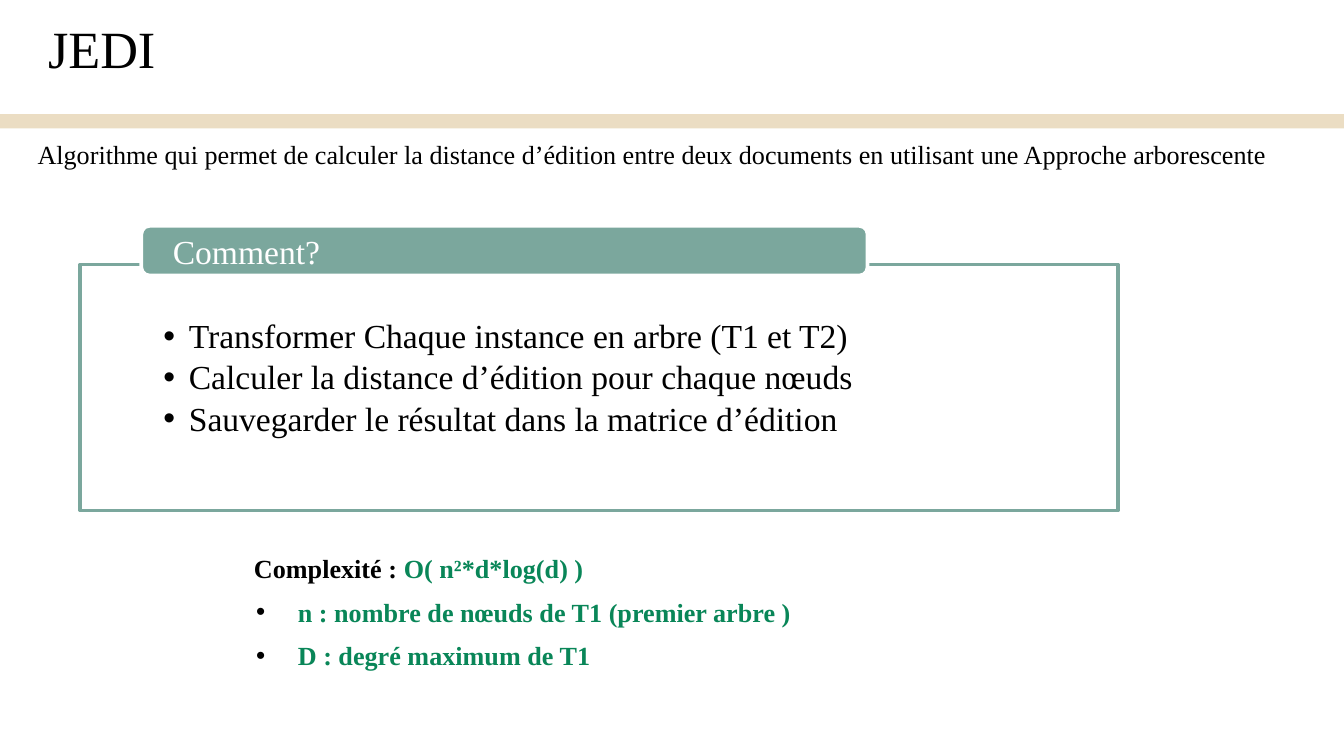
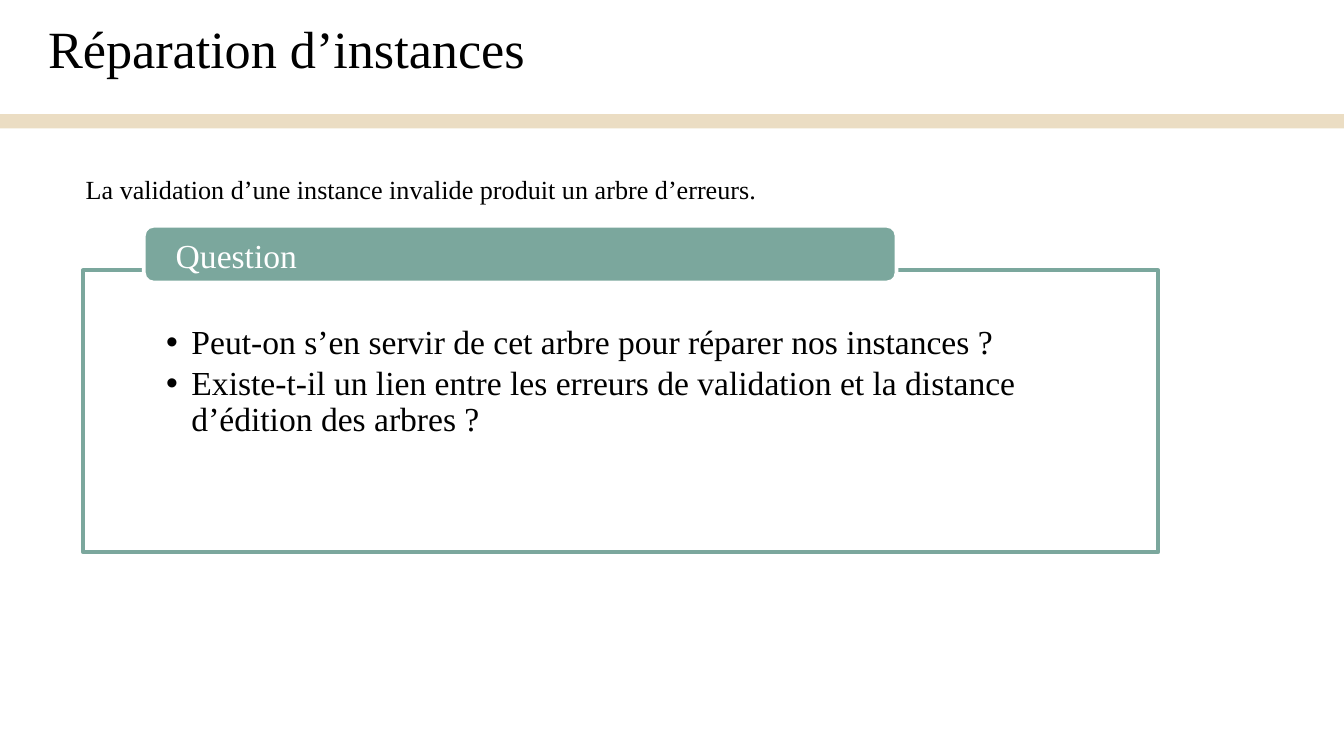
from dataclasses import dataclass

from lxml.etree import SubElement
from pptx import Presentation
from pptx.dml.color import RGBColor
from pptx.enum.shapes import MSO_SHAPE
from pptx.enum.text import MSO_ANCHOR, PP_ALIGN
from pptx.oxml.ns import qn
from pptx.util import Cm, Pt


@dataclass(frozen=True)
class Theme:
    font: str = "Times New Roman"
    ink: str = "000000"
    paper: str = "FFFFFF"
    sand: str = "EBDDC3"
    sage: str = "7BA79D"
    formula: str = "098658"
    title_size: int = 28
    panel_size: int = 18
    note_size: int = 14
    outline: int = 2


THEME = Theme()
SLIDE_WIDTH, SLIDE_HEIGHT = 25.4, 14.29


# Text
def add_run(paragraph, text, size, color=THEME.ink, bold=False):
    run = paragraph.add_run()
    run.text = text
    run.font.name = THEME.font
    run.font.size = Pt(size)
    run.font.bold = bold
    run.font.color.rgb = RGBColor.from_string(color)
    return run


def next_paragraph(frame):
    first = frame.paragraphs[0]
    paragraph = frame.add_paragraph() if first.runs else first
    paragraph.alignment = PP_ALIGN.LEFT
    return paragraph


def set_bullet(paragraph, margin, hanging):
    properties = paragraph._p.get_or_add_pPr()
    properties.set("marL", str(Cm(margin)))
    properties.set("indent", str(-Cm(hanging)))
    color = SubElement(properties, qn("a:buClr"))
    SubElement(color, qn("a:srgbClr"), val=THEME.ink)
    SubElement(properties, qn("a:buFont"), typeface="Arial")
    SubElement(properties, qn("a:buChar"), char="•")


def set_insets(frame, left, top, right, bottom):
    frame.margin_left, frame.margin_top = Cm(left), Cm(top)
    frame.margin_right, frame.margin_bottom = Cm(right), Cm(bottom)


def add_line_of_text(slide, left, top, width, height, text, size):
    box = slide.shapes.add_textbox(Cm(left), Cm(top), Cm(width), Cm(height))
    box.text_frame.word_wrap = False
    add_run(next_paragraph(box.text_frame), text, size)


# Shapes
def add_block(slide, preset, left, top, width, height, fill, line=None):
    block = slide.shapes.add_shape(preset, Cm(left), Cm(top), Cm(width), Cm(height))
    block.shadow.inherit = False
    block.fill.solid()
    block.fill.fore_color.rgb = RGBColor.from_string(fill)
    if line:
        block.line.color.rgb = RGBColor.from_string(line)
        block.line.width = Pt(THEME.outline)
    else:
        block.line.fill.background()
    return block


def set_opacity(block, percent):
    color = block.fill._xPr.find(qn("a:solidFill"))[0]
    SubElement(color, qn("a:alpha"), val=str(percent * 1000))


# Outlined panel with a heading tab over its upper edge
def add_panel(slide, left, top, width, height, tab_height, heading, points):
    panel = add_block(slide, MSO_SHAPE.RECTANGLE, left, top, width, height,
                      THEME.paper, THEME.sage)
    set_opacity(panel, 90)
    body = panel.text_frame
    body.word_wrap = True
    body.vertical_anchor = MSO_ANCHOR.TOP
    set_insets(body, 1.57, 1.04, 1.57, 0.36)
    for point in points:
        paragraph = next_paragraph(body)
        paragraph.level = 1
        paragraph.line_spacing = 0.9
        paragraph.space_after = Pt(2.7)
        set_bullet(paragraph, 0.48, 0.48)
        add_run(paragraph, point, THEME.panel_size)

    tab = add_block(slide, MSO_SHAPE.ROUNDED_RECTANGLE, left + 1.15, 4.27,
                    width * 0.7, tab_height, THEME.sage, THEME.paper)
    label = tab.text_frame
    label.word_wrap = True
    label.vertical_anchor = MSO_ANCHOR.MIDDLE
    set_insets(label, 0.55, 0.12, 0.53, 0)
    paragraph = next_paragraph(label)
    paragraph.line_spacing = 0.9
    add_run(paragraph, heading, THEME.panel_size, THEME.paper)


# Complexity formula and the meaning of its variables
def add_complexity(slide, formula, variables):
    box = slide.shapes.add_textbox(Cm(4.55), Cm(10.11), Cm(15.75), Cm(2.64))
    frame = box.text_frame
    frame.word_wrap = True

    def add_row():
        paragraph = next_paragraph(frame)
        paragraph.line_spacing = 1.34
        paragraph.space_before = Pt(1)
        return paragraph

    intro = add_row()
    add_run(intro, "Complexité : ", THEME.note_size, bold=True)
    add_run(intro, formula, THEME.note_size, THEME.formula, bold=True)
    for variable in variables:
        row = add_row()
        set_bullet(row, 0.83, 0.79)
        add_run(row, variable, THEME.note_size, THEME.formula, bold=True)


# Slide frame: band and title
def add_titled_slide(deck, title, title_width):
    slide = deck.slides.add_slide(deck.slide_layouts[6])
    add_block(slide, MSO_SHAPE.RECTANGLE, 0, 2.16, SLIDE_WIDTH, 0.27, THEME.sand)
    add_line_of_text(slide, 0.66, 0.18, title_width, 1.45, title, THEME.title_size)
    return slide


def build_jedi(deck):
    slide = add_titled_slide(deck, "JEDI", 2.57)
    add_panel(slide, 1.52, 5, 19.61, 4.65, 0.94, "Comment?", [
        "Transformer Chaque instance en arbre (T1 et T2)",
        "Calculer la distance d’édition pour chaque nœuds",
        "Sauvegarder le résultat dans la matrice d’édition",
    ])
    add_complexity(slide, "O( n²*d*log(d) )", [
        "n : nombre de nœuds de T1 (premier arbre )",
        "D : degré maximum de T1",
    ])
    add_line_of_text(
        slide, 0.46, 2.49, 23.85, 1.45,
        "Algorithme qui permet de calculer la distance d’édition entre deux "
        "documents en utilisant une Approche arborescente", THEME.note_size)


def build_repair(deck):
    slide = add_titled_slide(deck, "Réparation d’instances", 9.6)
    add_line_of_text(
        slide, 1.37, 3.15, 13.41, 0.86,
        "La validation d’une instance invalide produit un arbre d’erreurs.",
        THEME.note_size)
    add_panel(slide, 1.57, 5.11, 20.32, 5.33, 1.07, "Question", [
        "Peut-on s’en servir de cet arbre pour réparer nos instances ?",
        "Existe-t-il un lien entre les erreurs de validation et la distance "
        "d’édition des arbres ?",
    ])


def main():
    deck = Presentation()
    deck.slide_width, deck.slide_height = Cm(SLIDE_WIDTH), Cm(SLIDE_HEIGHT)
    build_jedi(deck)
    build_repair(deck)
    deck.save("out.pptx")


if __name__ == "__main__":
    main()
